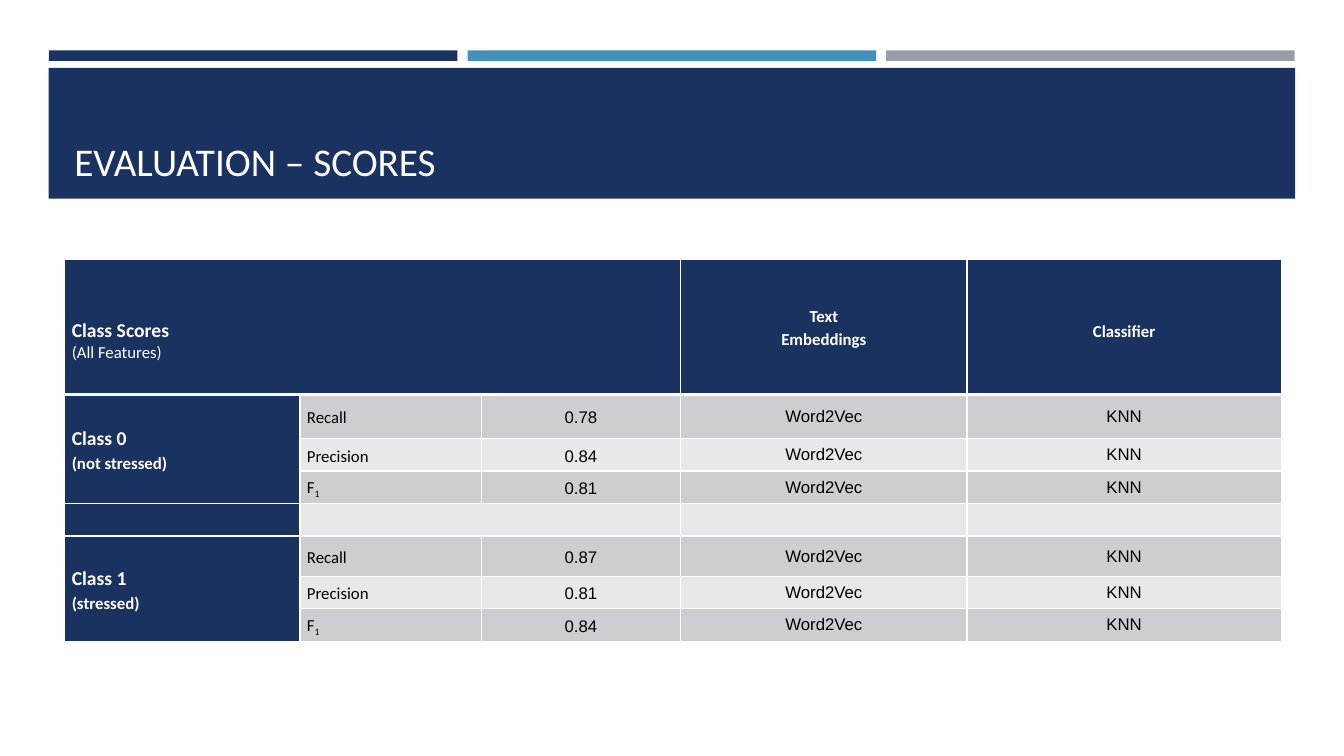
from lxml import etree
from pptx import Presentation
from pptx.dml.color import RGBColor
from pptx.enum import shapes, text
from pptx.oxml import ns
from pptx.util import Pt

NAVY = RGBColor(0x1A, 0x32, 0x60)
BLUE = RGBColor(0x45, 0x90, 0xB8)
GRAY = RGBColor(0x96, 0x9F, 0xA7)
DARK_BAND = RGBColor(0xCD, 0xCE, 0xD2)
LIGHT_BAND = RGBColor(0xE8, 0xE8, 0xEA)
WHITE = RGBColor(0xFF, 0xFF, 0xFF)
BLACK = RGBColor(0, 0, 0)

CENTER = text.PP_ALIGN.CENTER
HEADING = {"name": "Calibri", "size": Pt(12), "bold": True, "color": WHITE}
CLASS_NAME = {**HEADING, "size": Pt(14)}
SUBTITLE = {**HEADING, "bold": False}
LABEL = {"name": "Calibri", "size": Pt(12), "bold": False, "color": BLACK}
VALUE = {**LABEL, "name": "Arial"}
TITLE = {"name": "Calibri", "size": Pt(28), "bold": False, "color": WHITE}

COLUMN_WIDTHS = [168, 129.5, 142.5, 204.5, 224.5]
ROW_HEIGHTS = [96.5, 31.5, 23.2, 23.2, 23.2, 28.8, 23.2, 23.2]
CLASSES = [
    (1, "Class 0", "(not stressed)", ["0.78", "0.84", "0.81"]),
    (5, "Class 1", "(stressed)", ["0.87", "0.81", "0.84"]),
]
METRICS = ["Recall", "Precision", "F"]


def add_span(para, words, style):
    span = para.add_run()
    span.text = words
    for key, value in style.items():
        if key == "color":
            span.font.color.rgb = value
        else:
            setattr(span.font, key, value)
    return span


def write_lines(frame, lines, align=None, spacing=1.0):
    """Write (words, style) pairs, one paragraph each."""
    for index, (words, style) in enumerate(lines):
        para = frame.add_paragraph() if index else frame.paragraphs[0]
        para.alignment = align
        para.line_spacing = spacing
        add_span(para, words, style)


def add_bar(page, left, top, width, height, color):
    bar = page.shapes.add_shape(shapes.MSO_SHAPE.RECTANGLE,
                                Pt(left), Pt(top), Pt(width), Pt(height))
    bar.shadow.inherit = False
    bar.fill.solid()
    bar.fill.fore_color.rgb = color
    bar.line.fill.background()


def add_title(page, words):
    box = page.shapes.add_textbox(Pt(46), Pt(55.5), Pt(868.5), Pt(80))
    frame = box.text_frame
    frame.word_wrap = True
    frame.vertical_anchor = text.MSO_ANCHOR.BOTTOM
    write_lines(frame, [(words, TITLE)])


def format_cell(cell, color, widths):
    """Set white borders, insets and fill; widths maps a side to points."""
    properties = cell._tc.get_or_add_tcPr()
    for side in "LRTB":
        line = etree.SubElement(properties, ns.qn(f"a:ln{side}"),
                                w=str(Pt(widths.get(side, 1))))
        fill = etree.SubElement(line, ns.qn("a:solidFill"))
        etree.SubElement(fill, ns.qn("a:srgbClr"), val=str(WHITE))
    cell.fill.solid()
    cell.fill.fore_color.rgb = color
    cell.vertical_anchor = text.MSO_ANCHOR.MIDDLE
    cell.margin_left = cell.margin_right = Pt(5)
    cell.margin_top = cell.margin_bottom = 0


def add_grid(page):
    """Add the empty table with its banding, borders and merged cells."""
    frame = page.shapes.add_table(len(ROW_HEIGHTS), len(COLUMN_WIDTHS),
                                  Pt(46.3), Pt(185.3),
                                  Pt(sum(COLUMN_WIDTHS)), Pt(sum(ROW_HEIGHTS)))
    table = frame.table
    for column, width in zip(table.columns, COLUMN_WIDTHS):
        column.width = Pt(width)
    for row, height in zip(table.rows, ROW_HEIGHTS):
        row.height = Pt(height)
    for r, row in enumerate(table.rows):
        band = DARK_BAND if r % 2 else LIGHT_BAND
        widths = {0: {"B": 3}, 1: {"T": 3}}.get(r, {})
        for c, cell in enumerate(row.cells):
            format_cell(cell, NAVY if r == 0 or c == 0 else band, widths)
    for start, end in [((0, 0), (0, 2)), ((1, 0), (3, 0)),
                       ((4, 1), (4, 2)), ((5, 0), (7, 0))]:
        table.cell(*start).merge(table.cell(*end))
    return table


def fill_header(table):
    corner = table.cell(0, 0)
    corner.margin_top = Pt(20)
    write_lines(corner.text_frame, [("Class Scores", CLASS_NAME),
                                    ("(All Features)", SUBTITLE)])
    write_lines(table.cell(0, 3).text_frame,
                [("Text", HEADING), ("Embeddings", HEADING)], CENTER, 1.15)
    write_lines(table.cell(0, 4).text_frame,
                [("Classifier", HEADING)], CENTER, 1.5)


def fill_class(table, top, name, note, scores):
    write_lines(table.cell(top, 0).text_frame,
                [(name, CLASS_NAME), (note, HEADING)], spacing=1.15)
    for r, (metric, score) in enumerate(zip(METRICS, scores), top):
        label = table.cell(r, 1).text_frame
        write_lines(label, [(metric, LABEL)], spacing=1.15)
        if metric == "F":
            subscript = add_span(label.paragraphs[0], "1", LABEL)
            subscript._r.get_or_add_rPr().set("baseline", "-25000")
        for c, (words, spacing) in enumerate(
                [(score, 1.15), ("Word2Vec", 1.0), ("KNN", 1.0)], 2):
            write_lines(table.cell(r, c).text_frame,
                        [(words, VALUE)], CENTER, spacing)


def main():
    deck = Presentation()
    deck.slide_width, deck.slide_height = Pt(960), Pt(540)
    page = deck.slides.add_slide(deck.slide_layouts[6])

    # Top stripes and title banner
    for index, color in enumerate([NAVY, BLUE, GRAY]):
        add_bar(page, 35 + 299 * index, 36, 291.8, 7.5, color)
    add_bar(page, 34.8, 48.5, 890.4, 93.5, NAVY)
    add_title(page, "EVALUATION – SCORES")

    # Score table
    table = add_grid(page)
    fill_header(table)
    for entry in CLASSES:
        fill_class(table, *entry)

    deck.save("out.pptx")


if __name__ == "__main__":
    main()
